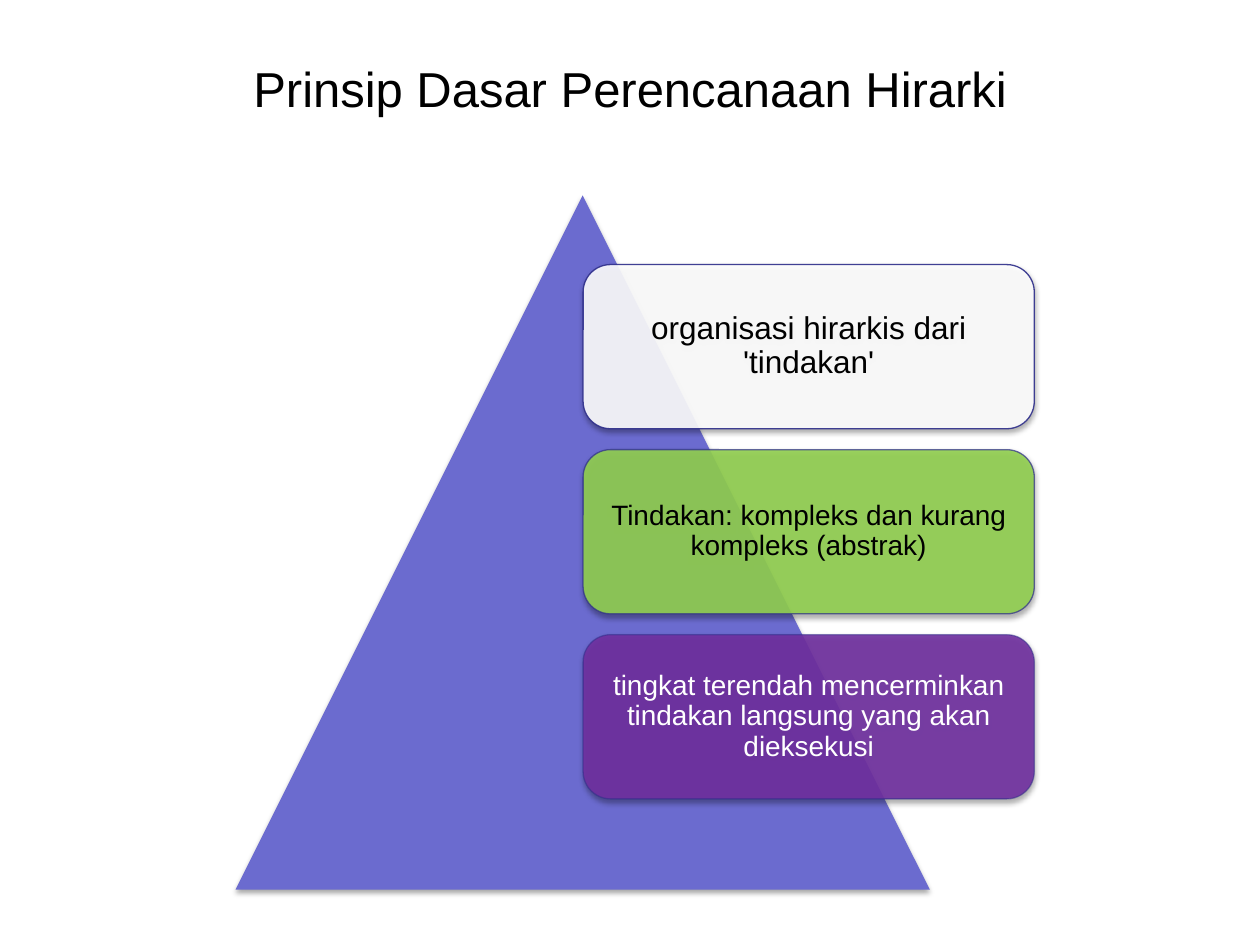
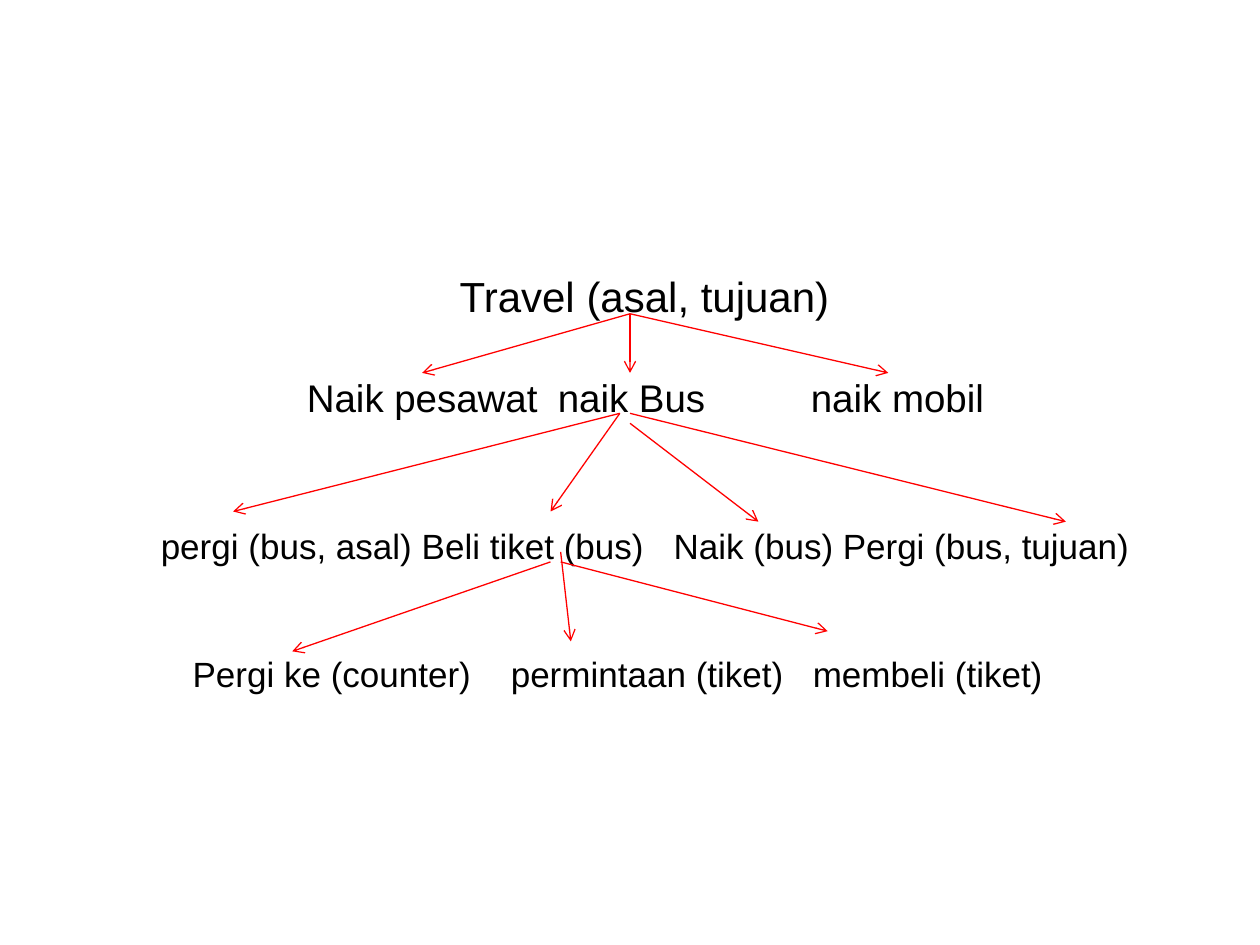
from lxml.etree import SubElement
from pptx import Presentation
from pptx.dml.color import RGBColor
from pptx.enum.shapes import MSO_CONNECTOR, MSO_SHAPE
from pptx.enum.text import MSO_ANCHOR, PP_ALIGN
from pptx.oxml.ns import qn
from pptx.util import Pt

FONT = "Arial"
COLORS = {
    "black": "000000",
    "white": "FFFFFF",
    "triangle": "6B6BCF",
    "green": "92D050",
    "purple": "7030A0",
    "outline": "2D2D8A",
    "arrow": "FF0000",
}


def add_text(paragraph, text, size, color="black"):
    run = paragraph.add_run()
    run.text = text
    run.font.name = FONT
    run.font.size = Pt(size)
    run.font.color.rgb = RGBColor.from_string(COLORS[color])


def paint(shape, fill, fill_alpha=100, line_alpha=None):
    """Fill and outline a shape (alphas in percent) and give it a soft shadow below."""
    shape.fill.solid()
    shape.fill.fore_color.rgb = RGBColor.from_string(COLORS[fill])
    alphas = [(shape.fill._xPr.find(qn("a:solidFill")), fill_alpha)]
    if line_alpha is None:
        shape.line.fill.background()
    else:
        shape.line.width = Pt(0.75)
        shape.line.color.rgb = RGBColor.from_string(COLORS["outline"])
        alphas.append((shape.line._ln.find(qn("a:solidFill")), line_alpha))
    for solid_fill, alpha in alphas:
        SubElement(solid_fill[0], qn("a:alpha"), val=str(alpha * 1000))
    effects = SubElement(shape._element.spPr, qn("a:effectLst"))
    shadow = SubElement(effects, qn("a:outerShdw"), blurRad=str(Pt(3.1)),
                        dist=str(Pt(1.8)), dir="5400000", rotWithShape="0")
    shadow_color = SubElement(shadow, qn("a:srgbClr"), val=COLORS["black"])
    SubElement(shadow_color, qn("a:alpha"), val="35000")


presentation = Presentation()
presentation.slide_width = Pt(720)
presentation.slide_height = Pt(540)

# Slide 1: pyramid with three principles
slide = presentation.slides.add_slide(presentation.slide_layouts[5])
title = slide.shapes.title
title.left, title.top, title.width, title.height = Pt(36), Pt(21.6), Pt(648), Pt(90)
title_frame = title.text_frame
title_frame.vertical_anchor = MSO_ANCHOR.MIDDLE
title_frame.margin_bottom = Pt(36)
title_frame.paragraphs[0].alignment = PP_ALIGN.CENTER
add_text(title_frame.paragraphs[0], "Prinsip Dasar Perencanaan Hirarki", 28)

pyramid = slide.shapes.add_shape(
    MSO_SHAPE.ISOSCELES_TRIANGLE, Pt(134.6), Pt(111.6), Pt(396.7), Pt(396.7))
paint(pyramid, "triangle")

principles = [
    ("organisasi hirarkis dari 'tindakan'", 18, "black", "white", 90),
    ("Tindakan: kompleks dan kurang kompleks (abstrak)", 16, "black", "green", 70),
    ("tingkat terendah mencerminkan tindakan langsung yang akan dieksekusi",
     16, "white", "purple", 50),
]
for index, (text, size, text_color, fill, line_alpha) in enumerate(principles):
    card = slide.shapes.add_shape(
        MSO_SHAPE.ROUNDED_RECTANGLE,
        Pt(333.2), Pt(151.2 + 105.75 * index), Pt(257.8), Pt(93.8))
    paint(card, fill, 90, line_alpha)
    frame = card.text_frame
    frame.word_wrap = True
    frame.vertical_anchor = MSO_ANCHOR.MIDDLE
    # The rounded corners already add about 4.5 pt to each inset
    frame.margin_left = frame.margin_right = Pt(5)
    frame.margin_top = frame.margin_bottom = Pt(5)
    paragraph = frame.paragraphs[0]
    paragraph.alignment = PP_ALIGN.CENTER
    paragraph.line_spacing = 0.9
    add_text(paragraph, text, size, text_color)

# Slide 2: travel plan tree
slide = presentation.slides.add_slide(presentation.slide_layouts[6])
plan_box = slide.shapes.add_textbox(Pt(31), Pt(145.4), Pt(674.6), Pt(252.7))
frame = plan_box.text_frame
frame.word_wrap = True
root = frame.paragraphs[0]
root.alignment = PP_ALIGN.CENTER
root.line_spacing = 1.2
add_text(root, "Travel (asal, tujuan)", 24)

# Each level: size, space before, and its steps with their tab stops
levels = [
    (22, 30.3, [("Naik pesawat", 137.3), ("naik Bus", 280.7), ("naik mobil", 425.3)]),
    (20, 59.4, [("pergi (bus, asal)", 53.8), ("Beli tiket (bus)", 202.9),
                ("Naik (bus)", 346.9), ("Pergi (bus, tujuan)", 443.5)]),
    (20, 49, [("Pergi ke (counter)", 72), ("permintaan (tiket)", 253.8),
              ("membeli (tiket)", 426.4)]),
]
for size, space_before, steps in levels:
    paragraph = frame.add_paragraph()
    paragraph.alignment = PP_ALIGN.LEFT
    paragraph.space_before = Pt(space_before)
    tab_list = SubElement(paragraph._p.get_or_add_pPr(), qn("a:tabLst"))
    for step, position in steps:
        SubElement(tab_list, qn("a:tab"), pos=str(Pt(position)), algn="l")
        add_text(paragraph, "\t" + step, size)

arrows = [
    # Travel to its three means
    (360, 179.3, 360, 213.1),
    (360, 179.3, 241.2, 213.1),
    (360, 179.3, 507.6, 213.1),
    # Bus to its four steps
    (354.2, 236.2, 133.2, 292.3),
    (354.2, 236.2, 314.6, 292.3),
    (360, 241.9, 433.4, 298.1),
    (360, 236.2, 609.1, 298.1),
    # Ticket to its three steps
    (314.6, 321.1, 167, 372.2),
    (320.4, 315.4, 326.2, 366.5),
    (320.4, 321.1, 473, 360.7),
]
for ends in arrows:
    arrow = slide.shapes.add_connector(MSO_CONNECTOR.STRAIGHT, *[Pt(end) for end in ends])
    arrow.line.width = Pt(0.75)
    arrow.line.color.rgb = RGBColor.from_string(COLORS["arrow"])
    SubElement(arrow.line._ln, qn("a:tailEnd"), type="arrow")
    SubElement(arrow._element.spPr, qn("a:effectLst"))

presentation.save("out.pptx")
